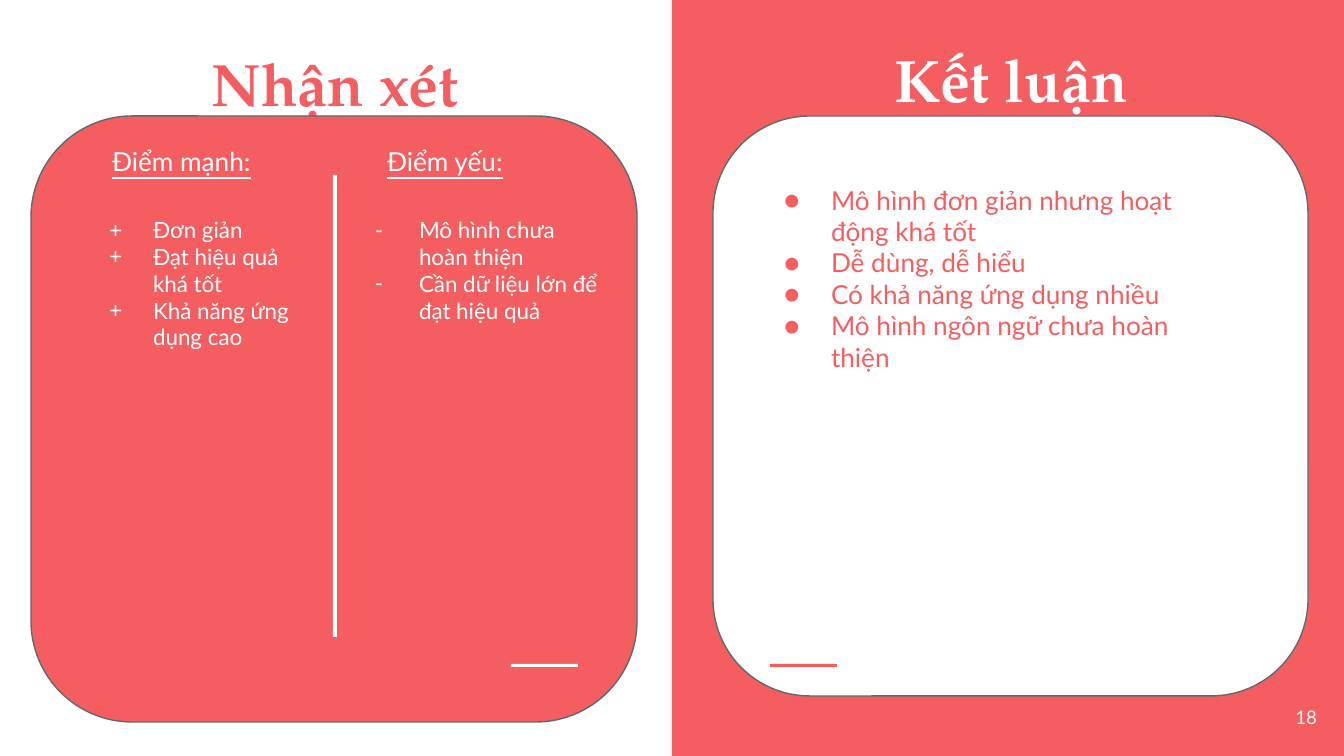
from lxml.etree import SubElement
from pptx import Presentation
from pptx.dml.color import RGBColor
from pptx.enum.shapes import MSO_SHAPE
from pptx.enum.text import MSO_ANCHOR, MSO_AUTO_SIZE, PP_ALIGN
from pptx.oxml.ns import qn
from pptx.util import Emu, Pt

EMU_PER_PX = 914400 / 134.4
CORAL = RGBColor(0xF5, 0x5E, 0x61)
WHITE = RGBColor(0xFF, 0xFF, 0xFF)
SLATE = RGBColor(0x5E, 0x69, 0x6C)
HEADING_FONT = "TeX Gyre Pagella"
BODY_FONT = "Lato"
INSET = 13
LIST_INDENT = 67
COMPARISON_LAYOUT = 4


def px(length):
    return Emu(round(length * EMU_PER_PX))


def add_block(slide, box, fill, kind=MSO_SHAPE.RECTANGLE, outline=None):
    block = slide.shapes.add_shape(kind, *map(px, box))
    block.shadow.inherit = False
    block.fill.solid()
    block.fill.fore_color.rgb = fill
    if outline is None:
        block.line.fill.background()
    else:
        block.line.color.rgb = outline
        block.line.width = Pt(0.75)
    return block


def add_panel(slide, box, fill):
    add_block(slide, box, fill, MSO_SHAPE.ROUNDED_RECTANGLE, SLATE).adjustments[0] = 0.167


def add_bullet(paragraph, mark, hanging, color):
    properties = paragraph._p.get_or_add_pPr()
    properties.set("marL", str(px(LIST_INDENT)))
    properties.set("indent", str(px(-hanging)))
    bullet_color = SubElement(properties, qn("a:buClr"))
    SubElement(bullet_color, qn("a:srgbClr"), val=str(color))
    SubElement(properties, qn("a:buFont"), typeface=BODY_FONT)
    SubElement(properties, qn("a:buChar"), char=mark)


def write_text(slide, box, lines, color, size, holder=None, font=BODY_FONT, bold=False,
               underline=False, align=PP_ALIGN.LEFT, anchor=MSO_ANCHOR.TOP,
               bullet=None, hanging=0):
    """Fill a placeholder, or a new text box, and bring it to the front."""
    if holder is None:
        holder = slide.shapes.add_textbox(*map(px, box))
    else:
        holder.left, holder.top, holder.width, holder.height = map(px, box)
        slide.shapes._spTree.append(holder._element)
    frame = holder.text_frame
    frame.auto_size = MSO_AUTO_SIZE.NONE
    frame.word_wrap = True
    frame.vertical_anchor = anchor
    frame.margin_left = frame.margin_right = px(INSET)
    frame.margin_top = frame.margin_bottom = px(INSET)
    frame.text = "\n".join(lines)
    for paragraph in frame.paragraphs:
        if bullet:
            add_bullet(paragraph, bullet, hanging, color)
        else:
            properties = paragraph._p.get_or_add_pPr()
            properties.set("marL", "0")
            properties.set("indent", "0")
            SubElement(properties, qn("a:buNone"))
        paragraph.alignment = align
        paragraph.space_before = Pt(0)
        for run in paragraph.runs:
            run.font.name = font
            run.font.size = Pt(size)
            run.font.bold = bold
            run.font.underline = underline
            run.font.color.rgb = color


def add_title(slide, holder, box, title, color):
    write_text(slide, box, [title], color, 32, holder=holder, font=HEADING_FONT,
               bold=True, align=PP_ALIGN.CENTER, anchor=MSO_ANCHOR.BOTTOM)


def main():
    deck = Presentation()
    deck.slide_width, deck.slide_height = px(1344), px(756)
    slide = deck.slides.add_slide(deck.slide_layouts[COMPARISON_LAYOUT])
    remarks_title, conclusion_title, strengths, conclusions, weaknesses = slide.placeholders

    add_block(slide, (672, 0, 672, 756), CORAL)
    add_title(slide, remarks_title, (38, 19, 594, 113), "Nhận xét", CORAL)
    add_title(slide, conclusion_title, (714, 15, 594, 113), "Kết luận", WHITE)

    add_panel(slide, (31, 116, 606, 606), CORAL)
    add_panel(slide, (713, 116, 595, 580), WHITE)
    add_block(slide, (770, 664, 67, 3), CORAL)
    add_block(slide, (511, 664, 67, 3), WHITE)
    add_block(slide, (333, 175, 4, 462), WHITE)

    for left, heading in ((99, "Điểm mạnh:"), (374, "Điểm yếu:")):
        write_text(slide, (left, 132, 204, 48), [heading], WHITE, 14, underline=True)

    write_text(slide, (73, 203, 238, 441),
               ["Đơn giản", "Đạt hiệu quả khá tốt", "Khả năng ứng dụng cao"],
               WHITE, 12, holder=strengths, bullet="+", hanging=44)
    write_text(slide, (751, 171, 491, 169),
               ["Mô hình đơn giản nhưng hoạt động khá tốt", "Dễ dùng, dễ hiểu",
                "Có khả năng ứng dụng nhiều", "Mô hình ngôn ngữ chưa hoàn thiện"],
               CORAL, 14, holder=conclusions, bullet="●", hanging=47)
    write_text(slide, (339, 203, 274, 462),
               ["Mô hình chưa hoàn thiện", "Cần dữ liệu lớn để đạt hiệu quả"],
               WHITE, 12, holder=weaknesses, bullet="-", hanging=44)
    write_text(slide, (1249, 688, 81, 58), ["18"], WHITE, 10,
               align=PP_ALIGN.RIGHT, anchor=MSO_ANCHOR.MIDDLE)
    deck.save("out.pptx")


if __name__ == "__main__":
    main()
